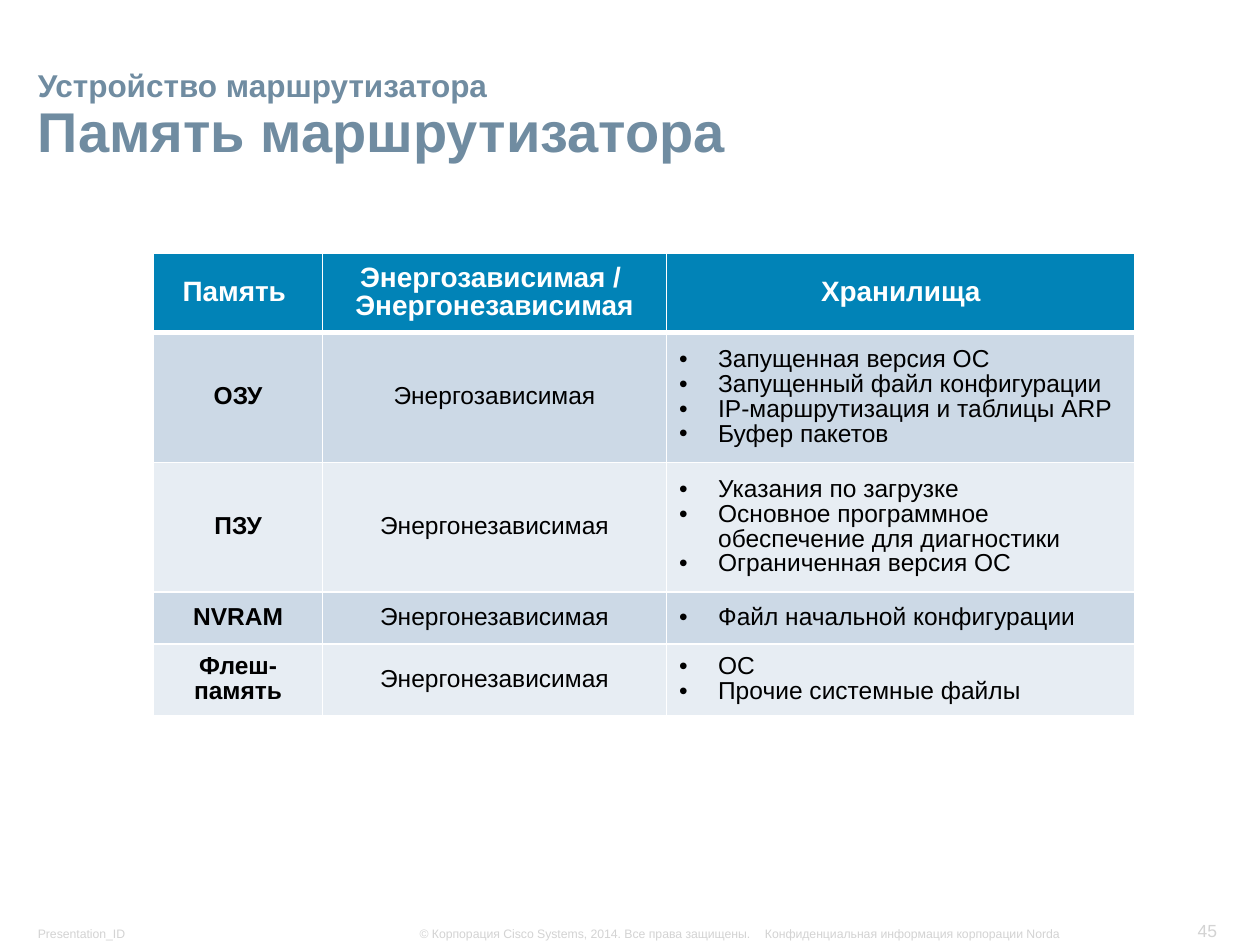
from lxml import etree
from pptx import Presentation
from pptx.dml.color import RGBColor
from pptx.enum.text import MSO_ANCHOR as Anchor, PP_ALIGN as Align
from pptx.oxml.ns import qn
from pptx.util import Inches, Pt

WHITE = RGBColor(0xFF, 0xFF, 0xFF)
BLACK = RGBColor(0x00, 0x00, 0x00)
SLATE = RGBColor(0x70, 0x8C, 0xA1)
HEADER_BLUE = RGBColor(0x01, 0x83, 0xB7)
BAND_DARK = RGBColor(0xCC, 0xD9, 0xE6)
BAND_LIGHT = RGBColor(0xE7, 0xED, 0xF3)
FOOTER_GRAY = RGBColor(0xD3, 0xD3, 0xD3)

HEADINGS = ["Память ", "Энергозависимая / \nЭнергонезависимая", "Хранилища"]
MEMORY_TYPES = [
    ("ОЗУ", "Энергозависимая",
     ["Запущенная версия ОС", "Запущенный файл конфигурации",
      "IP-маршрутизация и таблицы ARP", "Буфер пакетов"]),
    ("ПЗУ", "Энергонезависимая",
     ["Указания по загрузке", "Основное программное обеспечение для диагностики",
      "Ограниченная версия ОС"]),
    ("NVRAM", "Энергонезависимая", ["Файл начальной конфигурации"]),
    ("Флеш-память", "Энергонезависимая", ["ОС", "Прочие системные файлы"]),
]
COLUMN_WIDTHS = [1.34, 2.73, 3.72]
ROW_HEIGHTS = [0.63, 1.03, 1.03, 0.41, 0.57]
FOOTERS = [
    ("Presentation_ID", (0.21, 7.3, 1.05, 0.21), 7, Align.LEFT, True),
    ("45", (9.4, 7.25, 0.35, 0.26), 10, Align.RIGHT, False),
    ("© Корпорация Cisco Systems, 2014. Все права защищены.",
     (3.24, 7.3, 2.85, 0.21), 7, Align.LEFT, False),
    ("Конфиденциальная информация корпорации Norda",
     (5.97, 7.3, 2.53, 0.21), 7, Align.RIGHT, False),
]


def style_run(run, size, color, bold=False):
    """Set the font of one run."""
    run.font.name = "Arial"
    run.font.size = Pt(size)
    run.font.bold = bold
    run.font.color.rgb = color


def add_text(slide, box, text, align=Align.LEFT, wrap=True):
    """Add a bottom-anchored text box and return its paragraph."""
    frame = slide.shapes.add_textbox(*map(Inches, box)).text_frame
    frame.word_wrap = wrap
    frame.vertical_anchor = Anchor.BOTTOM
    frame.margin_left = frame.margin_right = Inches(0.09)
    frame.margin_top = frame.margin_bottom = Inches(0.04)
    paragraph = frame.paragraphs[0]
    paragraph.text = text
    paragraph.alignment = align
    return paragraph


def add_title(slide, box):
    """Place the section name above the slide title."""
    title = add_text(slide, box, "Устройство маршрутизатора\vПамять маршрутизатора")
    title.line_spacing = 0.9
    for run, size in zip(title.runs, (18, 32)):
        style_run(run, size, SLATE, True)


def add_footer(slide, text, box, size, align, wrap):
    """Place one footer label."""
    footer = add_text(slide, box, text, align, wrap)
    style_run(footer.runs[0], size, FOOTER_GRAY)


def add_borders(cell, bottom_width):
    """Draw white lines around a cell."""
    properties = cell._tc.get_or_add_tcPr()
    for side in ("lnL", "lnR", "lnT", "lnB"):
        width = bottom_width if side == "lnB" else 1
        line = etree.SubElement(properties, qn(f"a:{side}"), w=str(Pt(width)))
        fill = etree.SubElement(line, qn("a:solidFill"))
        etree.SubElement(fill, qn("a:srgbClr"), val=str(WHITE))


def add_bullet(paragraph):
    """Give a paragraph a black bullet with a hanging indent."""
    properties = paragraph._p.get_or_add_pPr()
    properties.set("marL", str(Inches(0.31)))
    properties.set("indent", str(-Inches(0.31)))
    color = etree.SubElement(properties, qn("a:buClr"))
    etree.SubElement(color, qn("a:srgbClr"), val=str(BLACK))
    etree.SubElement(properties, qn("a:buFont"), typeface="Arial")
    etree.SubElement(properties, qn("a:buChar"), char="•")


def fill_cell(cell, text, fill, size, color, bold=False, bulleted=False, bottom_width=1):
    """Write and style one table cell."""
    add_borders(cell, bottom_width)
    cell.fill.solid()
    cell.fill.fore_color.rgb = fill
    cell.vertical_anchor = Anchor.MIDDLE
    cell.text_frame.text = text
    for paragraph in cell.text_frame.paragraphs:
        if bulleted:
            add_bullet(paragraph)
        paragraph.alignment = Align.LEFT if bulleted else Align.CENTER
        paragraph.line_spacing = 0.9
        style_run(paragraph.runs[0], size, color, bold)


def add_memory_table(slide, box):
    """Place the table of router memory types."""
    table = slide.shapes.add_table(
        len(ROW_HEIGHTS), len(COLUMN_WIDTHS), *map(Inches, box)).table
    for column, width in zip(table.columns, COLUMN_WIDTHS):
        column.width = Inches(width)
    for row, height in zip(table.rows, ROW_HEIGHTS):
        row.height = Inches(height)
    for column, heading in enumerate(HEADINGS):
        fill_cell(table.cell(0, column), heading, HEADER_BLUE, 16, WHITE,
                  bold=True, bottom_width=3)
    for row, (memory, volatility, contents) in enumerate(MEMORY_TYPES, 1):
        band = BAND_DARK if row % 2 else BAND_LIGHT
        for column, text in enumerate((memory, volatility, "\n".join(contents))):
            fill_cell(table.cell(row, column), text, band, 14, BLACK,
                      bold=column == 0, bulleted=column == 2)


def main():
    """Build and save the slide."""
    presentation = Presentation()
    presentation.slide_width = Inches(10)
    presentation.slide_height = Inches(7.5)
    slide = presentation.slides.add_slide(presentation.slide_layouts[6])
    for footer in FOOTERS:
        add_footer(slide, *footer)
    add_title(slide, (0.21, 0.43, 9.59, 0.92))
    add_memory_table(slide, (1.22, 2.01, 7.79, 3.67))
    presentation.save("out.pptx")


if __name__ == "__main__":
    main()
